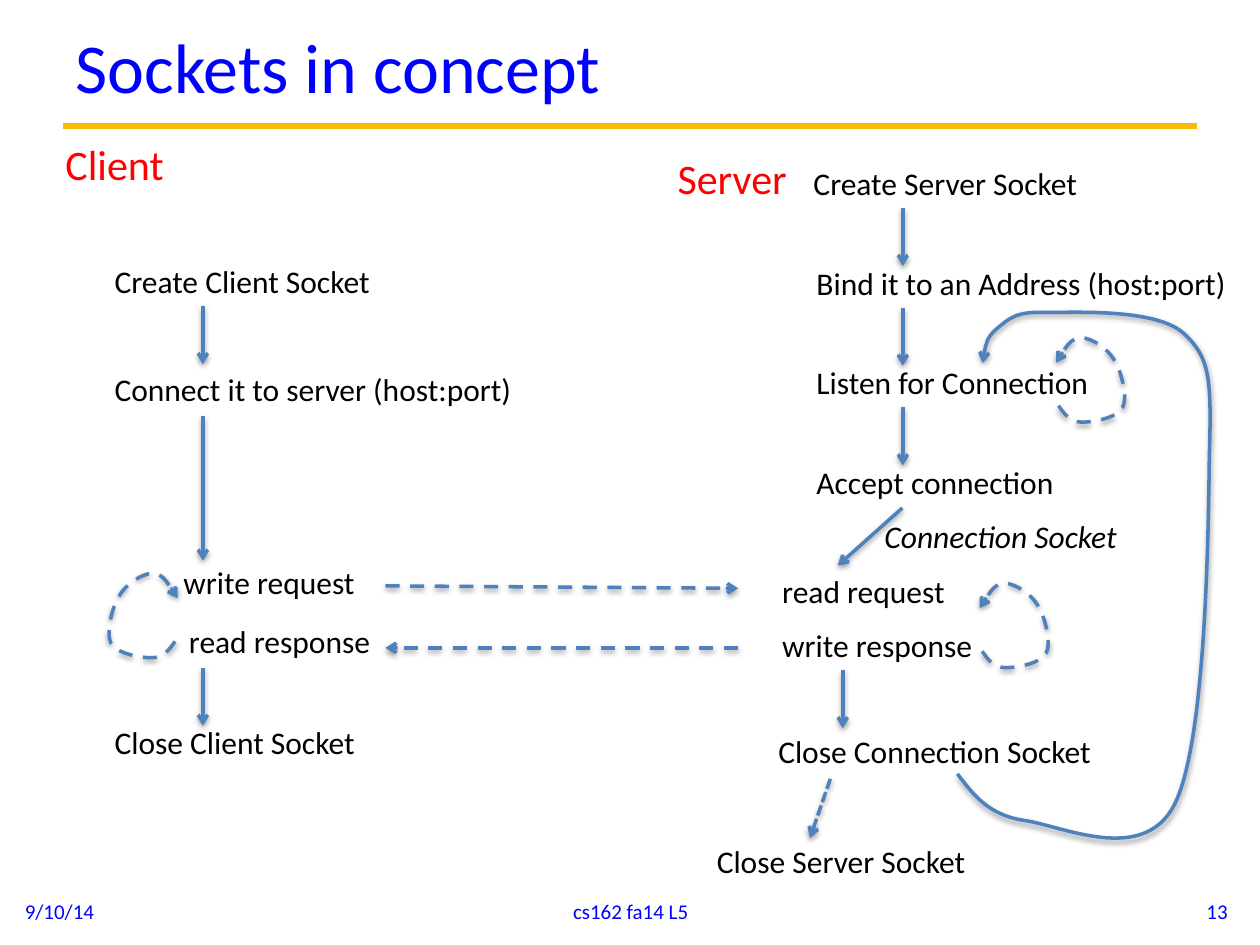
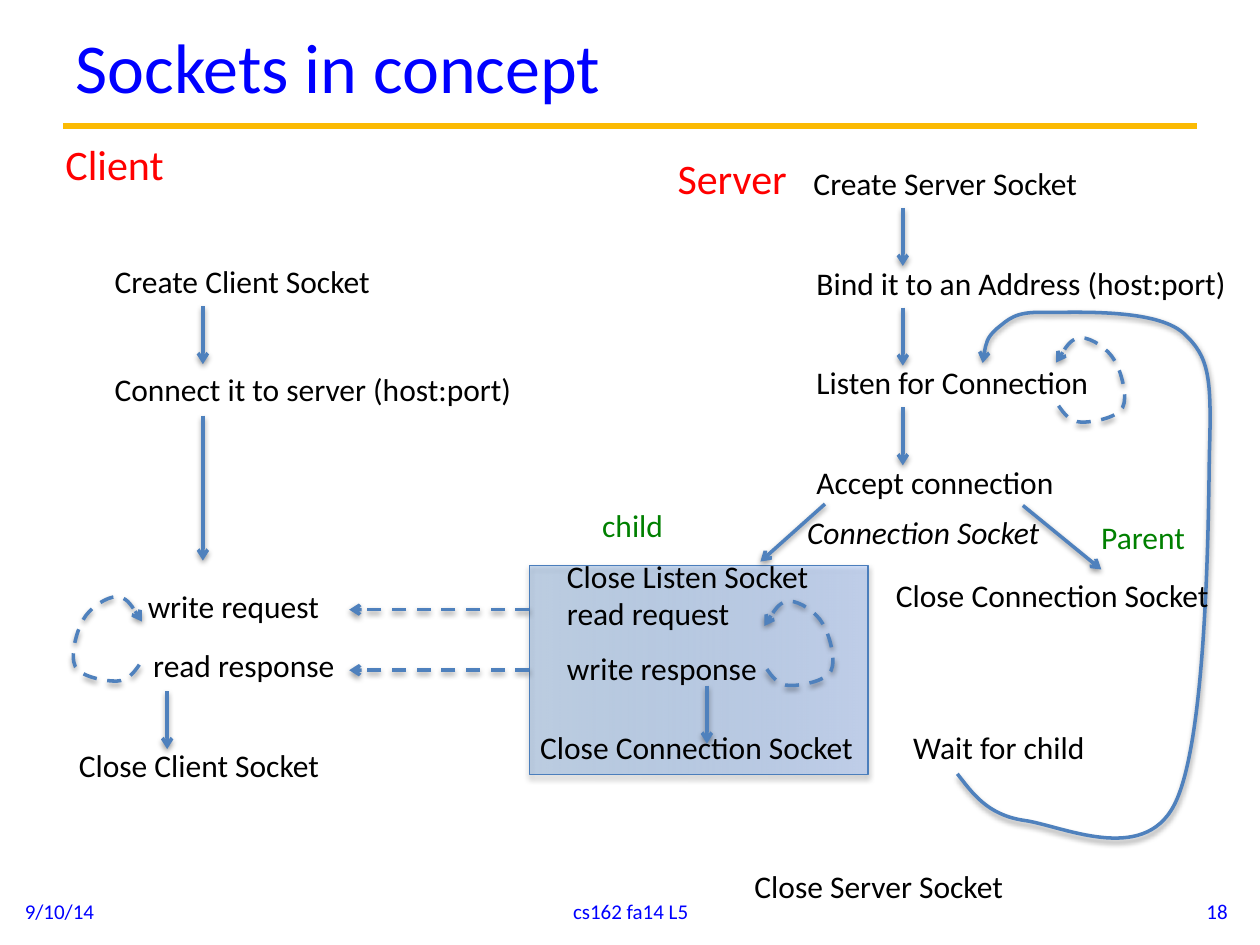
from lxml import etree
from pptx import Presentation
from pptx.dml.color import RGBColor
from pptx.enum.dml import MSO_LINE
from pptx.enum.shapes import MSO_CONNECTOR, MSO_SHAPE
from pptx.enum.text import MSO_ANCHOR, MSO_AUTO_SIZE, PP_ALIGN
from pptx.oxml.ns import qn
from pptx.util import Cm, Pt

BLUE = RGBColor(0x00, 0x00, 0xFF)
RED = RGBColor(0xFF, 0x00, 0x00)
GREEN = RGBColor(0x00, 0x80, 0x00)
BLACK = RGBColor(0x00, 0x00, 0x00)
GOLD = RGBColor(0xFB, 0xBA, 0x03)
STEEL = RGBColor(0x4F, 0x81, 0xBD)
BOX_EDGE = RGBColor(0x4B, 0x7E, 0xBC)
BOX_STOPS = [(0, RGBColor(0x3F, 0x80, 0xCE), 26), (1, RGBColor(0xA4, 0xC4, 0xFF), 46)]

LOOP_WIDTH = 1.37
LOOP = [(0.05, 1.37), (0.16, 1.53), (0.28, 1.69), (0.5, 1.7),
        (0.71, 1.71), (1.23, 1.62), (1.34, 1.41), (1.45, 1.2),
        (1.32, 0.69), (1.18, 0.46), (1.05, 0.22), (0.71, 0),
        (0.51, 0), (0.31, 0.01), (0.15, 0.25), (0, 0.5)]
BACK_TO_LISTEN = [
    (19.3, 15.6), (19.61, 16), (19.91, 16.43), (20.65, 16.54),
    (21.39, 16.64), (23.04, 17.45), (23.67, 16.23),
    (24.31, 15.01), (24.36, 10.77), (24.38, 9.17),
    (24.43, 7.59), (24.38, 7.19), (23.85, 6.71),
    (23.29, 6.22), (21.69, 6.3), (21.08, 6.3),
    (20.45, 6.27), (20.32, 6.45), (20.09, 6.63),
    (19.89, 6.81), (19.84, 7.06), (19.81, 7.32)]
SERVER_STEPS = [("Create Server Socket", 16.15, 5.92),
                ("Bind it to an Address (host:port)", 16.21, 8.86),
                ("Listen for Connection", 16.21, 6.07),
                ("Accept connection", 16.21, 5.36)]
STEP_GAP = 2.01
ARROW_DROP = 1.17


class Deck:
    font = "Calibri"

    def __init__(self):
        self.prs = Presentation()
        self.prs.slide_width, self.prs.slide_height = Cm(25.4), Cm(19.05)
        self.slide = None

    def style(self, p, size, color, italic=None):
        p.font.name, p.font.size, p.font.italic = self.font, Pt(size), italic
        p.font.color.rgb = color

    def new_slide(self, title, number):
        self.slide = self.prs.slides.add_slide(self.prs.slide_layouts[5])
        self.rule(1.27, 24.13, 2.54)
        sp = self.slide.shapes.title
        sp.left, sp.top, sp.width, sp.height = Cm(1.27), Cm(0.1), Cm(22.86), Cm(2.44)
        tf = sp.text_frame
        tf.text, tf.vertical_anchor = title, MSO_ANCHOR.MIDDLE
        tf.auto_size = MSO_AUTO_SIZE.NONE
        tf.paragraphs[0].alignment = PP_ALIGN.LEFT
        self.style(tf.paragraphs[0], 40, BLUE)
        self.footer("9/10/14", 0.25, 5.92, PP_ALIGN.LEFT)
        self.footer("cs162 fa14 L5", 8.69, 8.05, PP_ALIGN.CENTER)
        self.footer(number, 19.08, 5.92, PP_ALIGN.RIGHT)

    def text(self, text, x, y, w, h, size, color, wrap, italic=None):
        tf = self.slide.shapes.add_textbox(Cm(x), Cm(y), Cm(w), Cm(h)).text_frame
        tf.text, tf.word_wrap = text, wrap
        self.style(tf.paragraphs[0], size, color, italic)
        return tf

    def footer(self, text, x, w, align):
        tf = self.text(text, x, 17.86, w, 1.02, 12, BLUE, True)
        tf.vertical_anchor = MSO_ANCHOR.MIDDLE
        tf.paragraphs[0].alignment = align

    def label(self, text, x, y, w, color=BLACK, italic=None, wrap=False):
        tf = self.text(text, x, y, w, 1.03, 18, color, wrap, italic)
        tf.auto_size = MSO_AUTO_SIZE.SHAPE_TO_FIT_TEXT

    def heading(self, text, x, y, w):
        tf = self.text(text, x, y, w, 1.28, 24, RED, False)
        tf.auto_size = MSO_AUTO_SIZE.SHAPE_TO_FIT_TEXT

    def effects(self, sp, opacity=None, dist=20000):
        lst = etree.SubElement(sp._element.spPr, qn("a:effectLst"))
        if opacity:
            shadow = etree.SubElement(lst, qn("a:outerShdw"), blurRad="40000",
                                      dist=str(dist), dir="5400000", rotWithShape="0")
            clr = etree.SubElement(shadow, qn("a:srgbClr"), val=str(BLACK))
            etree.SubElement(clr, qn("a:alpha"), val=str(opacity * 1000))

    def connector(self, x1, y1, x2, y2):
        return self.slide.shapes.add_connector(
            MSO_CONNECTOR.STRAIGHT, Cm(x1), Cm(y1), Cm(x2), Cm(y2))

    def rule(self, x1, x2, y):
        line = self.connector(x1, y, x2, y)
        line.line.color.rgb, line.line.width = GOLD, Pt(3.75)
        self.effects(line)

    def arrow_style(self, sp, dash):
        sp.line.color.rgb, sp.line.width = STEEL, Pt(2)
        if dash:
            sp.line.dash_style = dash
        etree.SubElement(sp.line._get_or_add_ln(), qn("a:tailEnd"), type="arrow")
        self.effects(sp, 38)

    def arrow(self, x1, y1, x2, y2, dash=None):
        self.arrow_style(self.connector(x1, y1, x2, y2), dash)

    def down(self, x, y, drop=ARROW_DROP):
        self.arrow(x, y, x, y + drop)

    def curve(self, points, dash=None):
        start, *rest = [(Cm(x), Cm(y)) for x, y in points]
        builder = self.slide.shapes.build_freeform(*start)
        builder.add_line_segments(rest, close=False)
        sp = builder.convert_to_shape()
        segments = list(sp._element.iter(qn("a:lnTo")))
        for i in range(0, len(segments), 3):
            bezier = etree.Element(qn("a:cubicBezTo"))
            segments[i].addprevious(bezier)
            for seg in segments[i:i + 3]:
                bezier.append(seg[0])
                seg.getparent().remove(seg)
        sp.fill.background()
        self.arrow_style(sp, dash)

    def loop(self, x, y, mirror=False):
        self.curve([(x + (LOOP_WIDTH - dx if mirror else dx), y + dy) for dx, dy in LOOP],
                   MSO_LINE.DASH)

    def box(self, x, y, w, h):
        sp = self.slide.shapes.add_shape(MSO_SHAPE.RECTANGLE, Cm(x), Cm(y), Cm(w), Cm(h))
        sp.fill.gradient()
        sp.fill.gradient_angle = 0
        for stop, (position, color, opacity) in zip(sp.fill.gradient_stops, BOX_STOPS):
            stop.position, stop.color.rgb = position, color
        for clr, (_, _, opacity) in zip(sp._element.spPr.iter(qn("a:srgbClr")), BOX_STOPS):
            etree.SubElement(clr, qn("a:alpha"), val=str(opacity * 1000))
        sp.line.color.rgb, sp.line.width = BOX_EDGE, Pt(0.75)
        self.effects(sp, 35, 23000)

    def client(self, dx=0, dy=0):
        self.heading("Client", 1.07, 2.67, 2.51)
        self.label("Create Client Socket", 2.06, 5.16, 5.77)
        self.down(4.09, 6.17)
        self.label("Connect it to server (host:port)", 2.06, 7.34, 8.61)
        self.down(4.09, 8.38, 2.92)
        self.label("write request", 3.45 + dx, 11.23 + dy, 4.01)
        self.label("read response", 3.56 + dx, 12.42 + dy, 4.22)
        self.loop(2.21 + dx, 11.56 + dy, mirror=True)
        self.down(4.09 + dx, 13.46 + dy)
        self.label("Close Client Socket", 2.06 + dx, 14.45 + dy, 5.44)

    def server(self):
        self.heading("Server", 13.41, 2.95, 2.74)
        for i, (step, x, w) in enumerate(SERVER_STEPS):
            self.label(step, x, 3.18 + i * STEP_GAP, w)
            if i < len(SERVER_STEPS) - 1:
                self.down(18.2, 4.19 + i * STEP_GAP)
        self.loop(21.29, 6.81)
        self.curve(BACK_TO_LISTEN)

    def connection(self, dx=0, dy=0):
        self.arrow(18.19 + dx, 10.24 + dy, 16.89 + dx, 11.4 + dy)
        self.label("Connection Socket", 17.58 + dx, 10.29 + dy, 5.44, italic=True)

    def serve(self, x, y, loop_y):
        self.label("read request", x, y, 3.86)
        self.label("write response", x, y + 1.09, 4.39)
        self.loop(x + 4.23, loop_y)


def one_connection(deck):
    deck.new_slide("Sockets in concept", "13")
    deck.client()
    deck.server()
    deck.connection()
    deck.serve(15.52, 11.4, 11.76)
    deck.arrow(7.77, 11.81, 14.88, 11.86, MSO_LINE.DASH)
    deck.arrow(14.88, 13.06, 7.77, 13.06, MSO_LINE.DASH)
    deck.down(16.99, 13.51)
    deck.label("Close Connection Socket", 15.44, 14.63, 6.91)
    deck.arrow(16.74, 15.7, 16.33, 16.89, MSO_LINE.SQUARE_DOT)
    deck.label("Close Server Socket", 14.2, 16.84, 5.61)


def child_per_connection(deck):
    deck.new_slide("Sockets in concept", "18")
    deck.box(10.67, 11.4, 6.83, 4.22)
    deck.client(-0.72, 0.47)
    deck.server()
    deck.connection(-1.56, -0.08)
    deck.label("child", 11.89, 10.08, 1.75, GREEN)
    deck.label("Close Listen Socket", 11.18, 11.1, 6.99, wrap=True)
    deck.serve(11.18, 11.86, 12.12)
    for y in (12.29, 13.51):
        deck.arrow(10.67, y, 7.04, y, MSO_LINE.DASH)
    deck.down(14.25, 13.82)
    deck.label("Close Connection Socket", 10.64, 14.55, 6.99, wrap=True)
    deck.label("Parent", 21.95, 10.31, 2.26, GREEN)
    deck.arrow(20.62, 10.19, 22.2, 11.48)
    deck.label("Close Connection Socket", 17.81, 11.48, 6.99, wrap=True)
    deck.label("Wait for child", 18.16, 14.55, 6.99, wrap=True)
    deck.label("Close Server Socket", 14.96, 17.35, 5.61)


def main():
    deck = Deck()
    one_connection(deck)
    child_per_connection(deck)
    deck.prs.save("out.pptx")


if __name__ == "__main__":
    main()
